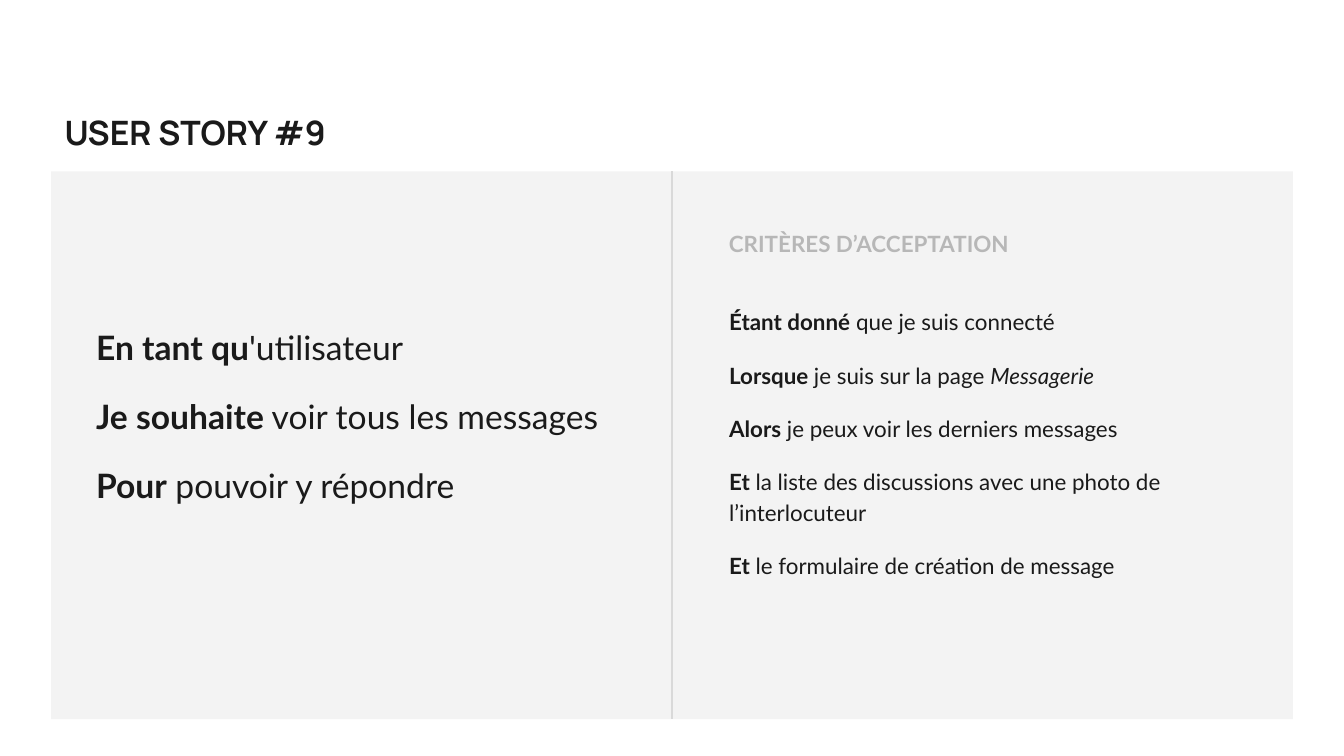
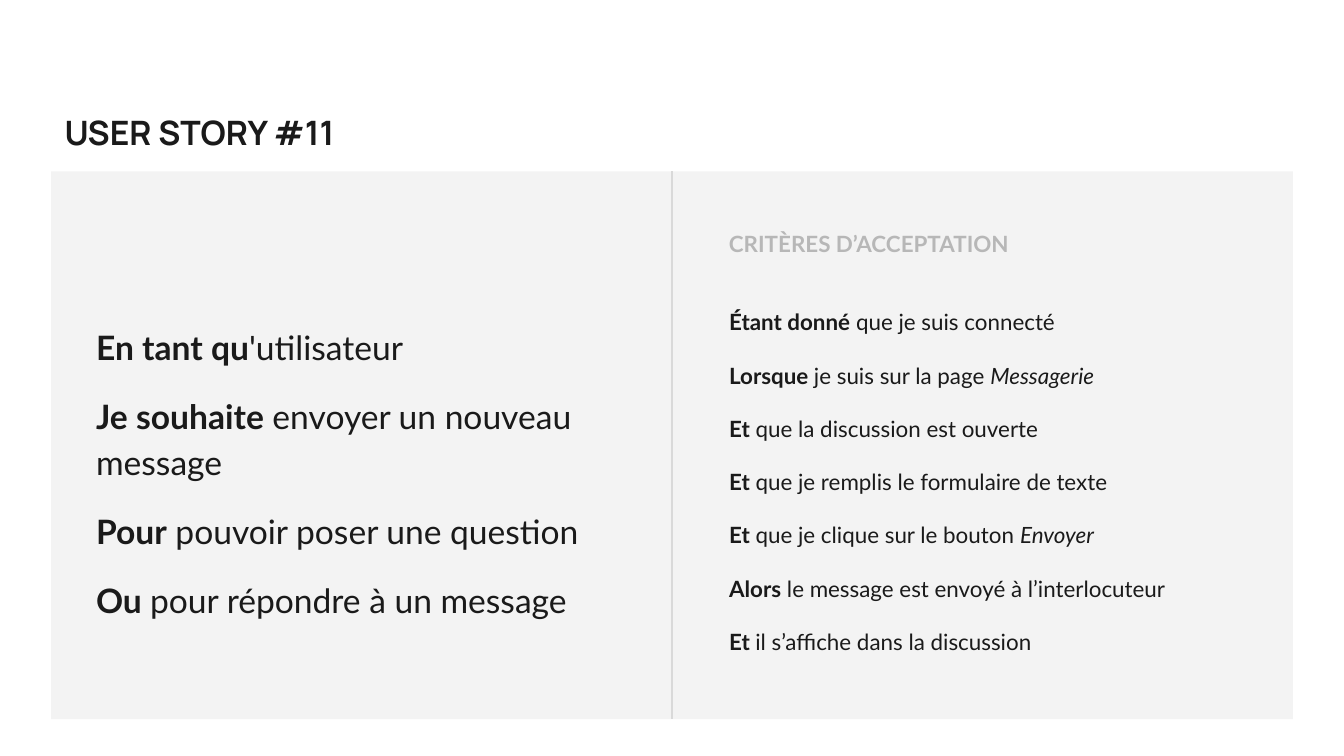
from lxml import etree
from pptx import Presentation
from pptx import util as u
from pptx.dml.color import RGBColor
from pptx.enum import shapes, text
from pptx.oxml.ns import qn

PX = u.Inches(1) // 200
INK, MUTED, PANEL, RULE = "1A1A1A", "B7B7B7", "F3F3F3", "D9D9D9"
HEADING_FONT, BODY_FONT = "Manrope", "Lato"

USER = ("En tant qu", "'utilisateur")
CONNECTED = ("Étant donné", " que je suis connecté")
ON_INBOX = ("Lorsque ", "je suis sur la page ", "Messagerie")

STORIES = [
    {
        "title": "USER STORY #9",
        "story": [
            USER,
            ("Je souhaite", " voir tous les messages"),
            ("Pour", " pouvoir y répondre"),
        ],
        "criteria": [
            CONNECTED,
            ON_INBOX,
            ("Alors", " je peux voir les derniers messages"),
            ("Et", " la liste des discussions avec une photo de l’interlocuteur"),
            ("Et", " le formulaire de création de message"),
        ],
    },
    {
        "title": "USER STORY #11",
        "story": [
            USER,
            ("Je souhaite", " envoyer un nouveau message"),
            ("Pour", " pouvoir poser une question"),
            ("Ou ", "pour répondre à un message"),
        ],
        "criteria": [
            CONNECTED,
            ON_INBOX,
            ("Et", " que la discussion est ouverte"),
            ("Et", " que je remplis le formulaire de texte"),
            ("Et", " que je clique sur le bouton ", "Envoyer"),
            ("Alors", " le message est envoyé à l’interlocuteur"),
            ("Et ", "il s’affiche dans la discussion"),
        ],
    },
]


def color(value):
    return RGBColor.from_string(value)


def place(shape, left, top, width, height):
    shape.left, shape.top = left * PX, top * PX
    shape.width, shape.height = width * PX, height * PX


def remove_bullet(paragraph):
    properties = paragraph._p.get_or_add_pPr()
    properties.set("marL", "0")
    properties.set("indent", "0")
    etree.SubElement(properties, qn("a:buNone"))


def write(shape, lines, size=12, font=BODY_FONT, ink=INK, spacing=1.0, gap=0,
          fit=text.MSO_AUTO_SIZE.NONE):
    frame = shape.text_frame
    frame.word_wrap = True
    frame.auto_size = fit
    frame.vertical_anchor = text.MSO_ANCHOR.TOP
    frame.margin_left = frame.margin_right = 20 * PX
    frame.margin_top = frame.margin_bottom = 20 * PX
    for index, parts in enumerate(lines):
        paragraph = frame.add_paragraph() if index else frame.paragraphs[0]
        remove_bullet(paragraph)
        paragraph.alignment = text.PP_ALIGN.LEFT
        paragraph.line_spacing = spacing
        paragraph.space_before = u.Pt(gap if index else 0)
        for position, part in enumerate(parts):
            run = paragraph.add_run()
            run.text = part
            run.font.name = font
            run.font.size = u.Pt(size)
            run.font.color.rgb = color(ink)
            run.font.bold = position == 0
            run.font.italic = position == 2
    paragraph.space_after = u.Pt(gap)


def add_panel(slide):
    panel = slide.shapes.add_shape(shapes.MSO_SHAPE.RECTANGLE, 0, 0, 0, 0)
    place(panel, 76, 255, 1848, 815)
    panel.shadow.inherit = False
    panel.fill.solid()
    panel.fill.fore_color.rgb = color(PANEL)
    panel.line.fill.background()
    panel.element.getparent().insert(2, panel.element)
    return panel


def add_divider(slide, panel):
    divider = slide.shapes.add_connector(shapes.MSO_CONNECTOR.STRAIGHT, 0, 0, 0, 0)
    divider.begin_connect(panel, 0)
    divider.end_connect(panel, 2)
    divider.line.color.rgb = color(RULE)
    divider.line.width = u.Pt(0.75)
    etree.SubElement(divider.element.spPr, qn("a:effectLst"))


def add_story_slide(presentation, content):
    slide = presentation.slides.add_slide(presentation.slide_layouts[3])
    title, story, criteria = slide.placeholders
    panel = add_panel(slide)

    place(title, 76, 147, 544, 108)
    write(title, [(content["title"],)], size=18, font=HEADING_FONT)
    place(story, 123, 458, 838, 410)
    write(story, content["story"], size=18, spacing=1.15, gap=12)
    place(criteria, 1065, 433, 796, 574)
    write(criteria, content["criteria"], spacing=1.15, gap=12)

    add_divider(slide, panel)
    label = slide.shapes.add_textbox(0, 0, 0, 0)
    place(label, 1065, 322, 656, 80)
    write(label, [("CRITÈRES D’ACCEPTATION",)], ink=MUTED,
          fit=text.MSO_AUTO_SIZE.SHAPE_TO_FIT_TEXT)


def main():
    presentation = Presentation()
    presentation.slide_width = 2000 * PX
    presentation.slide_height = 1125 * PX
    for content in STORIES:
        add_story_slide(presentation, content)
    presentation.save("out.pptx")


if __name__ == "__main__":
    main()
